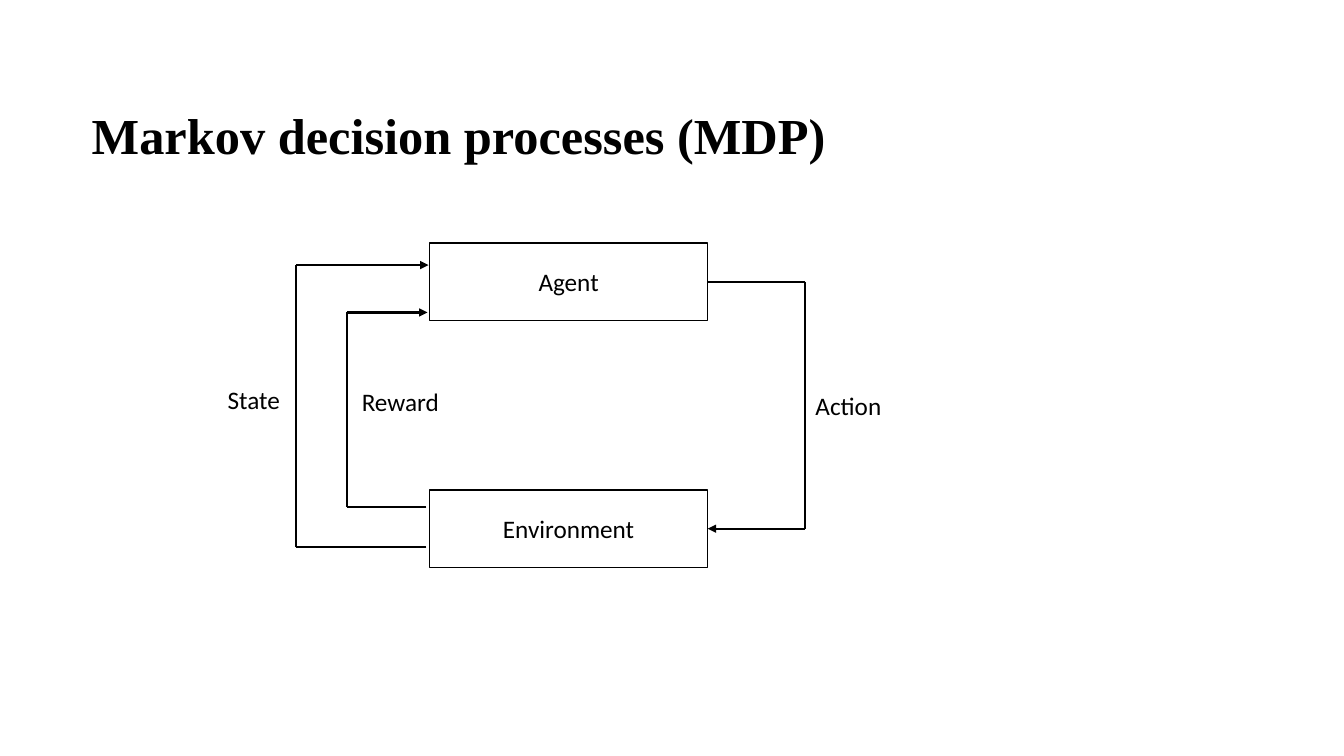
from dataclasses import dataclass
from itertools import pairwise

from lxml.etree import SubElement
from pptx import Presentation
from pptx.dml.color import RGBColor
from pptx.enum.shapes import MSO_CONNECTOR as CONN, MSO_SHAPE as SHAPE
from pptx.enum.text import MSO_ANCHOR as ANCHOR, PP_ALIGN as ALIGN
from pptx.oxml.ns import qn
from pptx.util import Inches, Pt


@dataclass(frozen=True)
class Theme:
    """Colours, fonts and sizes of the slide."""
    ink: RGBColor = RGBColor(0, 0, 0)
    title_font: str = "Times New Roman"
    body_font: str = "Calibri"
    title_size: float = 36
    body_size: float = 18
    box_line: float = 1
    arrow_line: float = 1.5


class SlideBuilder:
    """Draws styled elements on one slide."""

    def __init__(self, s, theme):
        """Keep the slide and its style."""
        self.s, self.theme = s, theme

    def set_text(self, tf, text, font, size, align=ALIGN.LEFT, bold=False):
        """Put one formatted paragraph in a text frame and return it."""
        tf.word_wrap = True
        tf.text = text
        p = tf.paragraphs[0]
        p.alignment = align
        f = p.runs[0].font
        f.name, f.size, f.bold = font, Pt(size), bold
        f.color.rgb = self.theme.ink
        return p

    def title(self, text, x, y, w, h):
        """Move and fill the title placeholder."""
        sp = self.s.shapes.title
        sp.left, sp.top, sp.width, sp.height = map(Inches, (x, y, w, h))
        tf = sp.text_frame
        tf.vertical_anchor = ANCHOR.MIDDLE
        p = self.set_text(tf, text, self.theme.title_font,
                          self.theme.title_size, bold=True)
        p.line_spacing, p.space_before = 1.2, Pt(10)

    def box(self, text, x, y, w, h):
        """Add an outlined box with centred text."""
        sp = self.s.shapes.add_shape(SHAPE.RECTANGLE, *map(Inches, (x, y, w, h)))
        sp.shadow.inherit = False
        sp.fill.background()
        sp.line.color.rgb = self.theme.ink
        sp.line.width = Pt(self.theme.box_line)
        tf = sp.text_frame
        tf.vertical_anchor = ANCHOR.MIDDLE
        self.set_text(tf, text, self.theme.body_font, self.theme.body_size,
                      ALIGN.CENTER)

    def label(self, text, x, y, w, h=0.4):
        """Add a plain text label."""
        sp = self.s.shapes.add_textbox(*map(Inches, (x, y, w, h)))
        self.set_text(sp.text_frame, text, self.theme.body_font,
                      self.theme.body_size)

    def line(self, start, end, arrow=False):
        """Add a straight line, with an arrowhead at its end if asked."""
        c = self.s.shapes.add_connector(CONN.STRAIGHT,
                                        *map(Inches, (*start, *end)))
        c.line.color.rgb = self.theme.ink
        c.line.width = Pt(self.theme.arrow_line)
        props = c._element.spPr
        if arrow:
            SubElement(props.find(qn("a:ln")), qn("a:tailEnd"), type="triangle")
        SubElement(props, qn("a:effectLst"))

    def loop(self, x_start, y_start, x_side, x_end, y_end):
        """Add a three-part path out to one side and back, ending in an arrow."""
        points = [(x_start, y_start), (x_side, y_start),
                  (x_side, y_end), (x_end, y_end)]
        for start, end in pairwise(points):
            self.line(start, end, arrow=end == points[-1])


prs = Presentation()
prs.slide_width, prs.slide_height = Inches(13.33), Inches(7.5)
slide = SlideBuilder(prs.slides.add_slide(prs.slide_layouts[5]), Theme())

slide.title("Markov decision processes (MDP)", 0.81, 0.55, 11.5, 1.45)

BOX_X, BOX_W, BOX_H = 4.26, 2.76, 0.77
AGENT_Y, ENVIRONMENT_Y = 2.41, 4.86
for name, y in (("Agent", AGENT_Y), ("Environment", ENVIRONMENT_Y)):
    slide.box(name, BOX_X, y, BOX_W, BOX_H)

box_right = BOX_X + BOX_W
slide.loop(box_right, AGENT_Y + BOX_H / 2, 7.98,
           box_right, ENVIRONMENT_Y + BOX_H / 2)  # action
slide.loop(4.23, 5.43, 2.94, 4.25, 2.63)  # state
slide.loop(4.23, 5.03, 3.44, 4.24, 3.1)  # reward

for name, x, y, w in (("Action", 7.99, 3.82, 1.24),
                      ("State", 2.16, 3.76, 0.81),
                      ("Reward", 3.49, 3.78, 1.54)):
    slide.label(name, x, y, w)

prs.save("out.pptx")
